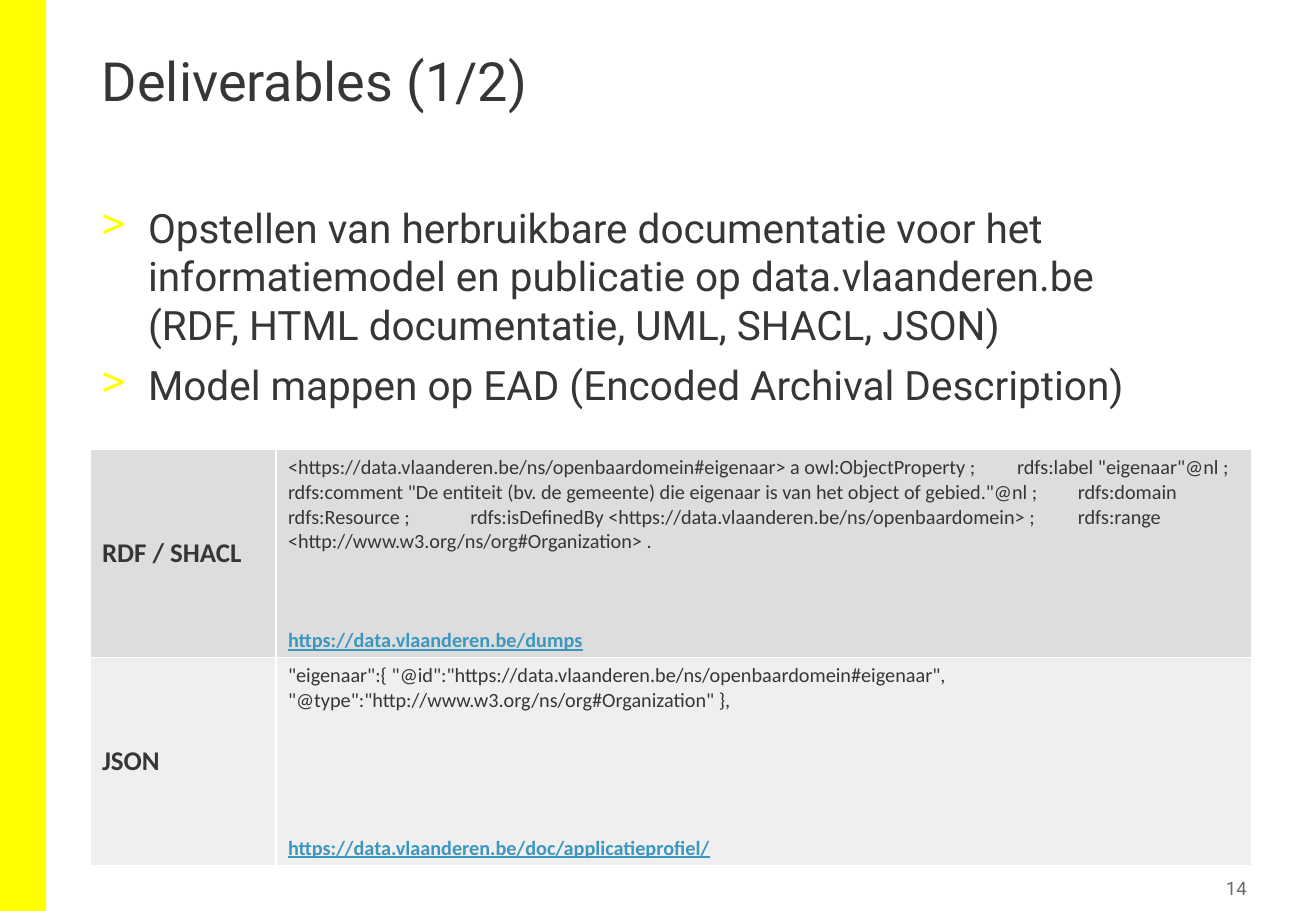
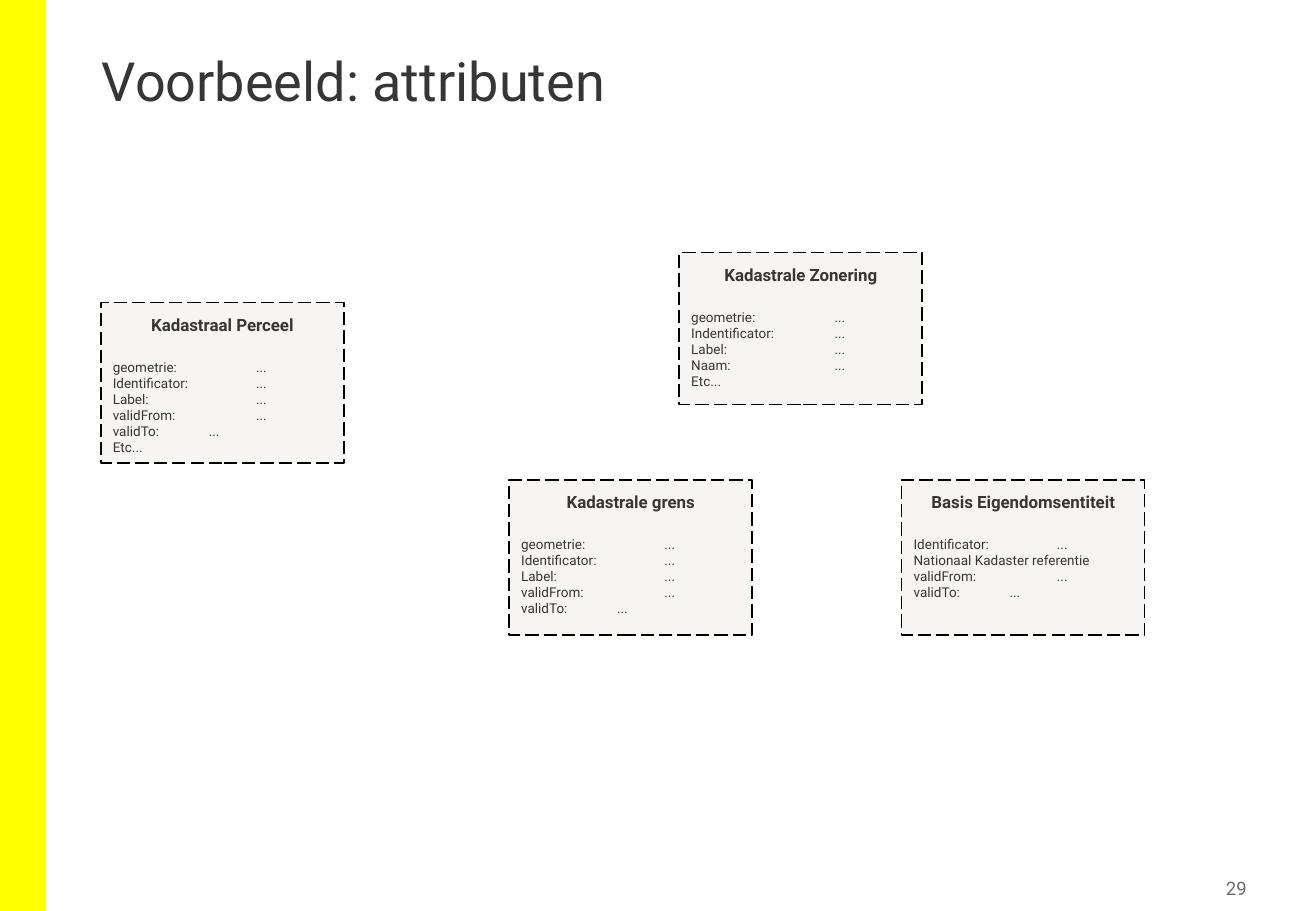
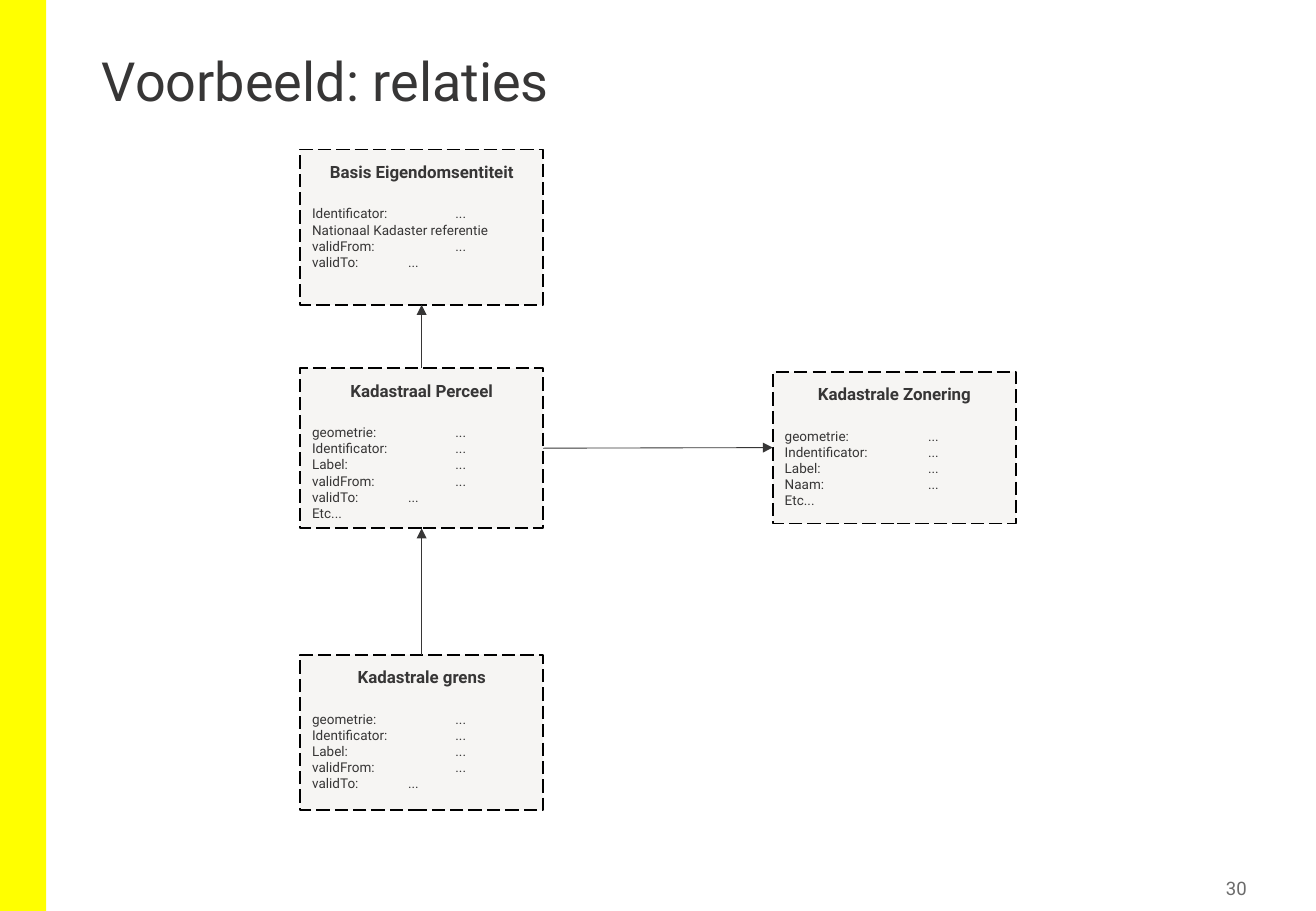
from lxml.etree import SubElement as Sub
from pptx import Presentation
from pptx.dml.color import RGBColor
from pptx.enum.dml import MSO_LINE_DASH_STYLE as Dash
from pptx.enum.shapes import MSO_CONNECTOR as Link, MSO_SHAPE as Shape
from pptx.enum.text import MSO_ANCHOR as Anchor, PP_ALIGN as Align
from pptx.oxml.ns import qn
from pptx.util import Inches, Pt

HUES = {
    "band": "FFFF00", "text": "373636", "page": "6B6B6B", "link": "3C96BE",
    "card": "F6F5F3", "edge": "000000", "rule": "FFFFFF",
    "dark": "DDDDDD", "light": "EFEFEF",
}
TOP, LEFT, BOTTOM, RIGHT = range(4)

# Card name: height and labels; a label with a colon is followed by a value
CARDS = {
    "Kadastraal Perceel": (1.32, ["geometrie:", "Identificator:", "Label:",
                                  "validFrom:", "validTo:", "Etc..."]),
    "Kadastrale grens": (1.28, ["geometrie:", "Identificator:", "Label:",
                                "validFrom:", "validTo:"]),
    "Kadastrale Zonering": (1.25, ["geometrie:", "Indentificator:", "Label:",
                                   "Naam:", "Etc..."]),
    "Basis Eigendomsentiteit": (1.28, ["Identificator:",
                                       "Nationaal Kadaster referentie",
                                       "validFrom:", "validTo:"]),
}

# Row name, fill, code, gap before the link, link
ROWS = [
    ("RDF / SHACL", "dark",
     '<https://data.vlaanderen.be/ns/openbaardomein#eigenaar> a owl:ObjectProperty ;'
     '\trdfs:label "eigenaar"@nl ;'
     '\trdfs:comment "De entiteit (bv. de gemeente) die eigenaar is van het object of gebied."@nl ;'
     '\trdfs:domain rdfs:Resource ;'
     '\trdfs:isDefinedBy <https://data.vlaanderen.be/ns/openbaardomein> ;'
     '\trdfs:range <http://www.w3.org/ns/org#Organization> .',
     44, "https://data.vlaanderen.be/dumps"),
    ("JSON", "light",
     '"eigenaar":{ "@id":"https://data.vlaanderen.be/ns/openbaardomein#eigenaar", '
     '"@type":"http://www.w3.org/ns/org#Organization" },',
     73, "https://data.vlaanderen.be/doc/applicatieprofiel/"),
]


def hue(name):
    return RGBColor.from_string(HUES[name])


class Deck:
    """Holds the shared style and the current slide."""

    def __init__(self):
        self.prs = Presentation()
        self.prs.slide_width = Inches(10.83)
        self.prs.slide_height = Inches(7.5)

    def start(self, title, page):
        """Add a slide with its band, title and page number."""
        self.slide = self.prs.slides.add_slide(self.prs.slide_layouts[6])
        self.rect(0, 0, 0.38, 7.5, "band").line.fill.background()
        head = self.box(0.74, 0.4, 9.34, 1.08)
        self.put(head, title, 32).line_spacing = 0.9
        foot = self.box(9.5, 7.17, 0.81, 0.29, 0.05)
        foot.vertical_anchor = Anchor.MIDDLE
        self.put(foot, str(page), 11, color="page").alignment = Align.RIGHT

    def rect(self, x, y, w, h, fill):
        shape = self.slide.shapes.add_shape(
            Shape.RECTANGLE, Inches(x), Inches(y), Inches(w), Inches(h))
        shape.shadow.inherit = False
        shape.fill.solid()
        shape.fill.fore_color.rgb = hue(fill)
        return shape

    def box(self, x, y, w, h, side=0.1):
        frame = self.slide.shapes.add_textbox(
            Inches(x), Inches(y), Inches(w), Inches(h)).text_frame
        frame.word_wrap = True
        frame.margin_left = frame.margin_right = Inches(side)
        return frame

    def put(self, frame, text, size, face="Roboto", color="text",
            bold=False, gap=0, tab=None, bullet=None):
        """Fill the first paragraph if it is empty, else add one."""
        par = frame.paragraphs[0]
        if par.runs:
            par = frame.add_paragraph()
            par.space_before = Pt(gap)
        par.text = text
        props = par._p.get_or_add_pPr()
        if bullet:
            props.set("marL", str(Inches(0.38)))
            props.set("indent", str(-Inches(0.38)))
            tint = Sub(props, qn("a:buClr"))
            Sub(tint, qn("a:srgbClr"), val=HUES["band"])
            Sub(props, qn("a:buChar"), char=bullet)
        if tab:
            stops = Sub(props, qn("a:tabLst"))
            Sub(stops, qn("a:tab"), pos=str(Inches(tab)), algn="l")
        par.font.size = Pt(size)
        par.font.name = face
        par.font.bold = bold
        par.font.color.rgb = hue(color)
        return par

    def list(self, items, x, y, w, h):
        frame = self.box(x, y, w, h)
        for item in items:
            self.put(frame, item, 24, gap=7, bullet=">")

    def table(self, rows, x, y, cols, high):
        grid = self.slide.shapes.add_table(
            len(rows), len(cols), Inches(x), Inches(y),
            Inches(sum(cols)), Inches(high * len(rows))).table
        grid.first_row = grid.horz_banding = False
        for col, wide in zip(grid.columns, cols):
            col.width = Inches(wide)
        for row, (name, fill, code, gap, url) in zip(grid.rows, rows):
            row.height = Inches(high)
            key, body = row.cells
            for cell in row.cells:
                self.frame(cell, fill)
            key.vertical_anchor = Anchor.MIDDLE
            self.put(key.text_frame, name, 16, "Calibri", bold=True)
            self.put(body.text_frame, code, 12, "Calibri")
            link = self.put(body.text_frame, url, 12, "Calibri",
                            "link", True, gap)
            link.font.underline = True

    def frame(self, cell, fill):
        """Give a cell white borders and a fill."""
        props = cell._tc.get_or_add_tcPr()
        for side in ("lnL", "lnR", "lnT", "lnB"):
            line = Sub(props, qn("a:" + side), w=str(Pt(1)))
            paint = Sub(line, qn("a:solidFill"))
            Sub(paint, qn("a:srgbClr"), val=HUES["rule"])
        cell.fill.solid()
        cell.fill.fore_color.rgb = hue(fill)

    def card(self, name, x, y):
        high, labels = CARDS[name]
        shape = self.rect(x, y, 2, high, "card")
        shape.line.color.rgb = hue("edge")
        shape.line.width = Pt(1)
        shape.line.dash_style = Dash.LONG_DASH
        frame = shape.text_frame
        frame.word_wrap = True
        frame.vertical_anchor = Anchor.TOP
        frame.margin_left = frame.margin_right = Inches(0.1)
        frame.margin_top = frame.margin_bottom = Inches(0.1)
        self.put(frame, name, 10, bold=True).alignment = Align.CENTER
        for i, label in enumerate(labels):
            text = label + "\t..." if label.endswith(":") else label
            tab = 0.79 if label == "validTo:" else 1.18
            par = self.put(frame, text, 8, gap=0 if i else 14, tab=tab)
            par.alignment = Align.LEFT
        return shape

    def arrow(self, start, out, end, into):
        """Join a side of one card to a side of another."""
        line = self.slide.shapes.add_connector(Link.STRAIGHT, 0, 0, 0, 0)
        line.begin_connect(start, out)
        line.end_connect(end, into)
        line.line.color.rgb = hue("text")
        line.line.width = Pt(0.5)
        Sub(line.line._get_or_add_ln(), qn("a:tailEnd"), type="triangle")
        Sub(line._element.spPr, qn("a:effectLst"))


def main():
    deck = Deck()

    deck.start("Deliverables (1/2)", 14)
    deck.list([
        "Opstellen van herbruikbare documentatie voor het informatiemodel "
        "en publicatie op data.vlaanderen.be\v"
        "(RDF, HTML documentatie, UML, SHACL, JSON)",
        "Model mappen op EAD (Encoded Archival Description)",
    ], 0.74, 1.62, 9.34, 2)
    deck.table(ROWS, 0.74, 3.7, (1.53, 8.03), 1.7)

    deck.start("Voorbeeld: attributen", 29)
    deck.card("Kadastraal Perceel", 0.83, 2.49)
    deck.card("Kadastrale grens", 4.19, 3.95)
    deck.card("Kadastrale Zonering", 5.59, 2.08)
    deck.card("Basis Eigendomsentiteit", 7.42, 3.95)

    deck.start("Voorbeeld: relaties", 30)
    plot = deck.card("Kadastraal Perceel", 2.47, 3.03)
    edge = deck.card("Kadastrale grens", 2.47, 5.39)
    zone = deck.card("Kadastrale Zonering", 6.36, 3.06)
    base = deck.card("Basis Eigendomsentiteit", 2.47, 1.23)
    deck.arrow(edge, TOP, plot, BOTTOM)
    deck.arrow(plot, RIGHT, zone, LEFT)
    deck.arrow(plot, TOP, base, BOTTOM)

    deck.prs.save("out.pptx")


if __name__ == "__main__":
    main()
